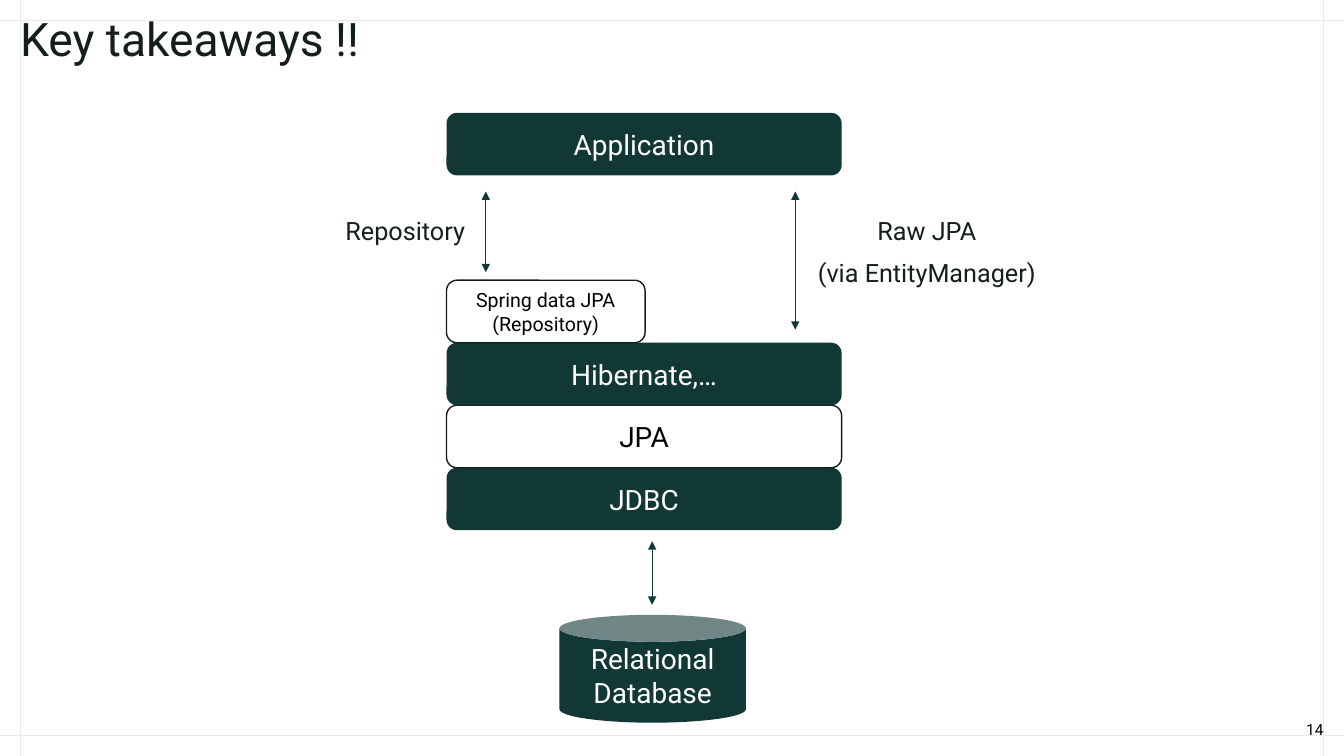
from lxml import etree
from pptx import Presentation
from pptx.dml.color import RGBColor
from pptx.enum.shapes import MSO_CONNECTOR, MSO_SHAPE
from pptx.enum.text import MSO_ANCHOR, PP_ALIGN
from pptx.oxml.ns import qn
from pptx.util import Pt

STRAIGHT = MSO_CONNECTOR.STRAIGHT
ROUNDED, CAN = MSO_SHAPE.ROUNDED_RECTANGLE, MSO_SHAPE.CAN
TOP, MIDDLE, BOTTOM = MSO_ANCHOR.TOP, MSO_ANCHOR.MIDDLE, MSO_ANCHOR.BOTTOM
LEFT, CENTER, RIGHT = PP_ALIGN.LEFT, PP_ALIGN.CENTER, PP_ALIGN.RIGHT

THEME = {
    "font": "Roboto", "title": 33, "layer": 20, "label": 18, "small": 14, "number": 11,
    "ink": "141E1E", "green": "123836", "white": "FFFFFF", "black": "000000", "guide": "E7EBEB",
}

TITLE = "Key takeaways !!"
PAGE_NUMBER = "14"
LAYERS = [("JDBC", "green"), ("JPA", "white"), ("Hibernate,…", "green")]
REPOSITORY_LAYER = "Spring data JPA (Repository)"
APPLICATION = "Application"
DATABASE = "Relational Database"
ACCESS_LABELS = [
    (["Repository"], (232.56, 151.92, 113.76, 22.32)),
    (["Raw JPA", "(via EntityManager)"], (542.88, 151.92, 238.32, 52.56)),
]
ACCESS_ARROWS = [(347.04, 136.8, 194.4), (568.08, 136.8, 235.44), (465.84, 386.64, 432)]

SLIDE_W, SLIDE_H = 960, 540
MARGIN = 14.76
STACK_LEFT, STACK_W, LAYER_H = 318.96, 282.24, 44.64
REPOSITORY_W = 141.84
JDBC_TOP, APPLICATION_TOP = 334.08, 80.64
DATABASE_BOX = (399.6, 439.2, 133.2, 77.04)
TITLE_BOX = (14.4, 14.4, 930.96, 74.88)
NUMBER_BOX = (731.52, 512.5, 213.84, 15.12)


def color(key):
    return RGBColor.from_string(THEME[key])


def write(target, lines, size, ink, align=CENTER, anchor=TOP, inset=(0, 0), **spacing):
    frame = target.text_frame
    side, end = (Pt(value) for value in inset)
    frame_format = {"word_wrap": True, "vertical_anchor": anchor, "margin_left": side,
                    "margin_right": side, "margin_top": end, "margin_bottom": end}
    for key, value in frame_format.items():
        setattr(frame, key, value)
    for index, line in enumerate(lines):
        paragraph = frame.add_paragraph() if index else frame.paragraphs[0]
        for key, value in {"alignment": align, **spacing}.items():
            setattr(paragraph, key, value)
        run = paragraph.add_run()
        run.text = line
        for key, value in {"name": THEME["font"], "size": Pt(THEME[size])}.items():
            setattr(run.font, key, value)
        run.font.color.rgb = color(ink)


def add_label(slide, box, lines, size, ink, **text_format):
    label = slide.shapes.add_textbox(*map(Pt, box))
    write(label, lines, size, ink, **text_format)


def add_block(slide, kind, box, text, fill, size="layer"):
    block = slide.shapes.add_shape(kind, *map(Pt, box))
    block.shadow.inherit = False
    block.fill.solid()
    block.fill.fore_color.rgb = color(fill)
    if fill == "white":
        block.line.color.rgb = color("ink")
        block.line.width = Pt(1)
    else:
        block.line.fill.background()
    ink = "black" if fill == "white" else "white"
    write(block, [text], size, ink, anchor=MIDDLE, inset=(6, 3))


def add_line(slide, ends, ink, width, arrows=False):
    line = slide.shapes.add_connector(STRAIGHT, *map(Pt, ends))
    line.line.color.rgb = color(ink)
    line.line.width = Pt(width)
    properties = line._element.spPr
    if arrows:
        outline = properties.find(qn("a:ln"))
        for tag in ("a:headEnd", "a:tailEnd"):
            etree.SubElement(outline, qn(tag), type="triangle")
    etree.SubElement(properties, qn("a:effectLst"))


def main():
    deck = Presentation()
    deck.slide_width, deck.slide_height = Pt(SLIDE_W), Pt(SLIDE_H)
    slide = deck.slides.add_slide(deck.slide_layouts[6])

    for x in (MARGIN, SLIDE_W - MARGIN):
        add_line(slide, (x, 0, x, SLIDE_H), "guide", 0.72)
    for y in (MARGIN, SLIDE_H - MARGIN):
        add_line(slide, (0, y, SLIDE_W, y), "guide", 0.72)

    add_label(slide, TITLE_BOX, [TITLE], "title", "ink", align=LEFT, line_spacing=0.83)
    add_label(slide, NUMBER_BOX, [PAGE_NUMBER], "number", "black", align=RIGHT, anchor=BOTTOM)

    for level, (text, fill) in enumerate(LAYERS):
        box = (STACK_LEFT, JDBC_TOP - level * LAYER_H, STACK_W, LAYER_H)
        add_block(slide, ROUNDED, box, text, fill)
    repository_top = JDBC_TOP - len(LAYERS) * LAYER_H
    add_block(slide, ROUNDED, (STACK_LEFT, repository_top, REPOSITORY_W, LAYER_H),
              REPOSITORY_LAYER, "white", "small")
    add_block(slide, ROUNDED, (STACK_LEFT, APPLICATION_TOP, STACK_W, LAYER_H),
              APPLICATION, "green")
    add_block(slide, CAN, DATABASE_BOX, DATABASE, "green")

    for x, top, bottom in ACCESS_ARROWS:
        add_line(slide, (x, top, x, bottom), "green", 0.5, arrows=True)
    for lines, box in ACCESS_LABELS:
        add_label(slide, box, lines, "label", "ink", line_spacing=1.1, space_after=Pt(6))

    deck.save("out.pptx")


if __name__ == "__main__":
    main()
